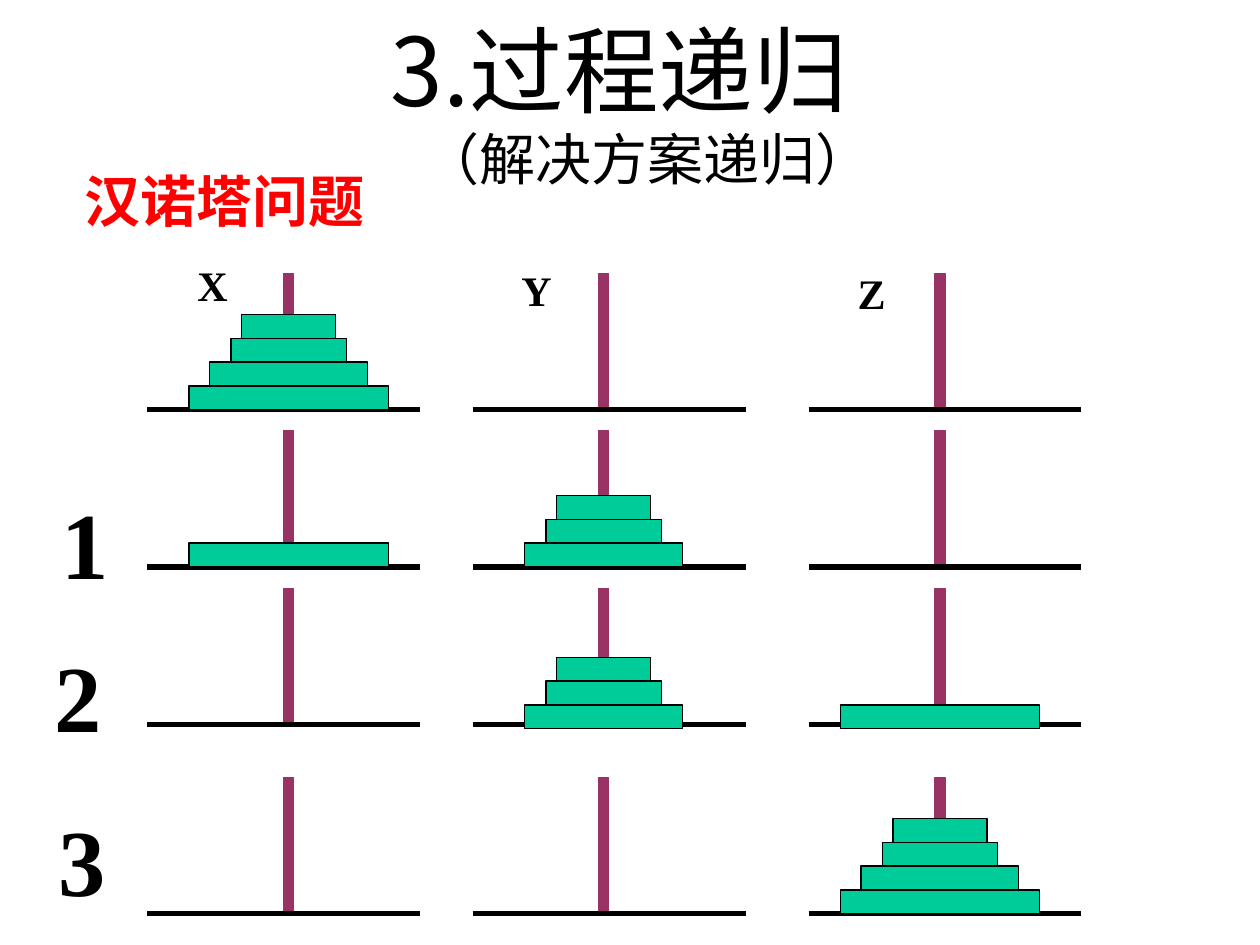
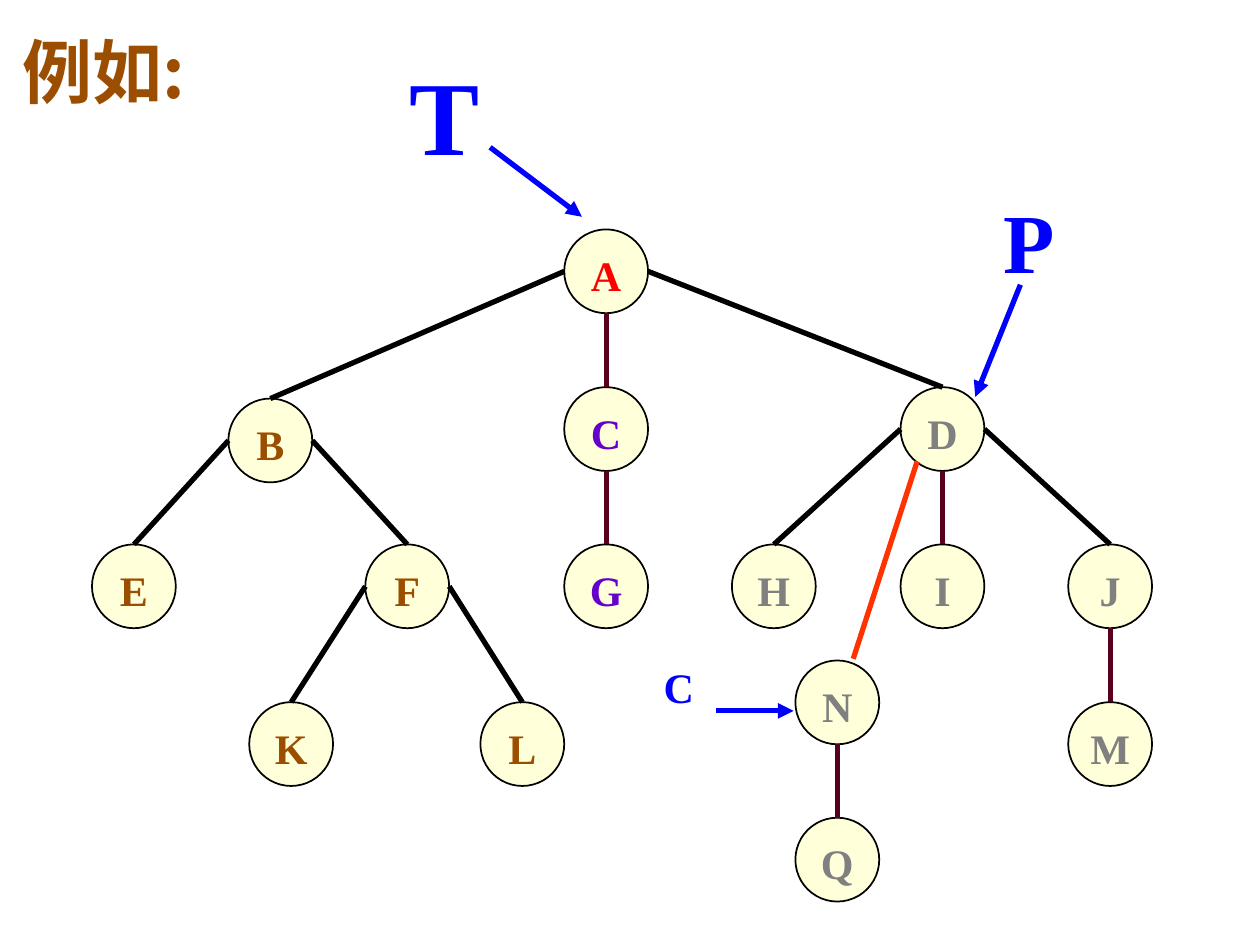
from lxml.etree import SubElement
from pptx import Presentation
from pptx.dml.color import RGBColor
from pptx.enum.shapes import MSO_CONNECTOR, MSO_SHAPE
from pptx.enum.text import MSO_ANCHOR, MSO_AUTO_SIZE, PP_ALIGN
from pptx.oxml.ns import qn
from pptx.util import Cm, Pt

HUES = {
    "ink": "000000", "red": "FF0000", "peg": "993366", "disc": "00CC99",
    "node": "FFFFD9", "brown": "9C4E00", "violet": "6600CC", "grey": "808080",
    "blue": "0000FF", "wine": "58001D", "flame": "FF3300",
}
SANS, SERIF = "Noto Sans CJK SC", "Times New Roman"
FRAME = {
    "margin_left": Cm(0.25), "margin_right": Cm(0.25),
    "margin_top": Cm(0.13), "margin_bottom": Cm(0.13),
    "vertical_anchor": MSO_ANCHOR.TOP, "auto_size": MSO_AUTO_SIZE.NONE,
    "word_wrap": True,
}

SIZE = 1.69
NODES = {
    "A": (12.22, 5.47, "red"), "B": (5.45, 8.88, "brown"),
    "C": (12.22, 8.65, "violet"), "D": (19, 8.65, "grey"),
    "E": (2.7, 11.82, "brown"), "F": (8.21, 11.82, "brown"),
    "G": (12.22, 11.82, "violet"), "H": (15.6, 11.82, "grey"),
    "I": (19, 11.82, "grey"), "J": (22.38, 11.82, "grey"),
    "M": (22.38, 15, "grey"), "K": (5.87, 15, "brown"),
    "L": (10.53, 15, "brown"), "N": (16.88, 14.16, "grey"),
    "Q": (16.88, 17.33, "grey"),
}
EDGES = "AB AC AD BE BF CG DH DI DJ FK FL JM NQ".split()

PEGS = (5.82, 12.17, 18.95)
BASES = (2.97, 9.53, 16.3)
DISCS = (4.02, 3.18, 2.33, 1.9)
THICK = 0.48
STAGES = (
    (8.26, {0: DISCS}),
    (11.43, {0: DISCS[:1], 1: DISCS[1:]}),
    (14.69, {1: DISCS[1:], 2: DISCS[:1]}),
    (18.42, {2: DISCS}),
)


def hue(name):
    return RGBColor.from_string(HUES[name])


def apply(item, values):
    for key, value in values.items():
        setattr(item, key, value)


def write(shape, lines, tone, face=SERIF, bold=True, align=PP_ALIGN.LEFT, **frame):
    text = shape.text_frame
    apply(text, FRAME | frame)
    for rank, (words, size) in enumerate(lines):
        para = text.add_paragraph() if rank else text.paragraphs[0]
        para.alignment = align
        if face == SANS:
            para.line_spacing = Pt(round(size * 1.2))
        run = para.add_run()
        run.text = words
        apply(run.font, {"size": Pt(size), "bold": bold, "name": face})
        run.font.color.rgb = hue(tone)
        SubElement(run._r.get_or_add_rPr(), qn("a:ea"), typeface=face)
    return text


def label(slide, box, words, size, tone, face=SERIF):
    shape = slide.shapes.add_textbox(*map(Cm, box))
    write(shape, [(words, size)], tone, face)


def title(slide, box, lines, tone, **style):
    shape = slide.shapes.title
    apply(shape, dict(zip(("left", "top", "width", "height"), map(Cm, box))))
    return write(shape, lines, tone, SANS, **style)


def solid(slide, kind, box, fill, edge, width):
    shape = slide.shapes.add_shape(kind, *map(Cm, box))
    shape.shadow.inherit = False
    shape.fill.solid()
    shape.fill.fore_color.rgb = hue(fill)
    shape.line.color.rgb = hue(edge)
    shape.line.width = Pt(width)
    return shape


def line(slide, start, end, tone, arrow=False):
    link = slide.shapes.add_connector(
        MSO_CONNECTOR.STRAIGHT, *map(Cm, (*start, *end)))
    link.line.color.rgb = hue(tone)
    link.line.width = Pt(3)
    if arrow:
        SubElement(link.line._get_or_add_ln(), qn("a:tailEnd"), type="triangle")
    SubElement(link._element.spPr, qn("a:effectLst"))


def stage(slide, floor, stacks, sink):
    base = floor - sink
    for peg, left in zip(PEGS, BASES):
        solid(slide, MSO_SHAPE.RECTANGLE,
              (peg - 0.1, base - 2.75, 0.2, 2.75), "peg", "peg", 0.75)
        line(slide, (left, base), (left + 5.5, base), "ink")
    for spot, discs in stacks.items():
        for rank, wide in enumerate(discs, 1):
            box = (PEGS[spot] - wide / 2, floor - rank * THICK, wide, THICK)
            solid(slide, MSO_SHAPE.RECTANGLE, box, "disc", "ink", 0.75)


def hanoi(slide):
    text = title(slide, (3.38, 0.1, 18.21, 3.91),
                 [("3.过程递归", 54), ("（解决方案递归）", 32)],
                 "ink", bold=False, align=PP_ALIGN.CENTER)
    text.paragraphs[1]._p.get_or_add_pPr().set("marL", str(Cm(1.13)))
    label(slide, (1.45, 3.25, 8.5, 1.63), "汉诺塔问题", 32, "red", SANS)
    for rank, (floor, stacks) in enumerate(STAGES):
        stage(slide, floor, stacks, 0.08 if rank == 2 else 0)
    for name, left, top in (("X", 3.73, 5.11), ("Y", 10.26, 5.21), ("Z", 17.04, 5.26)):
        label(slide, (left, top, 1.96, 1.27), name, 24, "ink")
    for name, left, top in (("1", 0.99, 9.65), ("2", 0.84, 12.73), ("3", 0.94, 16.03)):
        label(slide, (left, top, 2.34, 2.54), name, 54, "ink")


def node(slide, name, x, y, tone):
    half = SIZE / 2
    shape = solid(slide, MSO_SHAPE.OVAL,
                  (x - half, y - half, SIZE, SIZE), "node", "ink", 1)
    write(shape, [(name, 24)], tone, align=PP_ALIGN.CENTER, word_wrap=False,
          vertical_anchor=MSO_ANCHOR.MIDDLE, margin_top=Cm(0.26))


def edge(slide, head, child):
    half = SIZE / 2
    (x, y, _), (u, v, _) = NODES[head], NODES[child]
    if x == u:
        line(slide, (x, y + half), (u, v - half), "wine")
    else:
        side = half if u > x else -half
        line(slide, (x + side, y), (u, v - half), "ink")


def tree(slide):
    title(slide, (0.2, 0.45, 5, 1.96), [("例如:", 40)], "brown")
    for name, spot in NODES.items():
        node(slide, name, *spot)
    for head, child in EDGES:
        edge(slide, head, child)
    line(slide, (18.49, 9.3), (17.2, 13.28), "flame")
    marks = (
        ("T", 60, (8, 0.89, 5.41, 2.79), (9.88, 2.97), (11.73, 4.37)),
        ("P", 48, (19.99, 3.7, 5.41, 2.29), (20.57, 5.74), (19.66, 8)),
        ("C", 24, (13.13, 13.21, 5.41, 1.27), (14.43, 14.33), (16, 14.33)),
    )
    for name, size, box, start, end in marks:
        label(slide, box, name, size, "blue")
        line(slide, start, end, "blue", True)


def main():
    deck = Presentation()
    apply(deck, {"slide_width": Cm(25.4), "slide_height": Cm(19.05)})
    for draw in (hanoi, tree):
        draw(deck.slides.add_slide(deck.slide_layouts[5]))
    deck.save("out.pptx")


if __name__ == "__main__":
    main()
